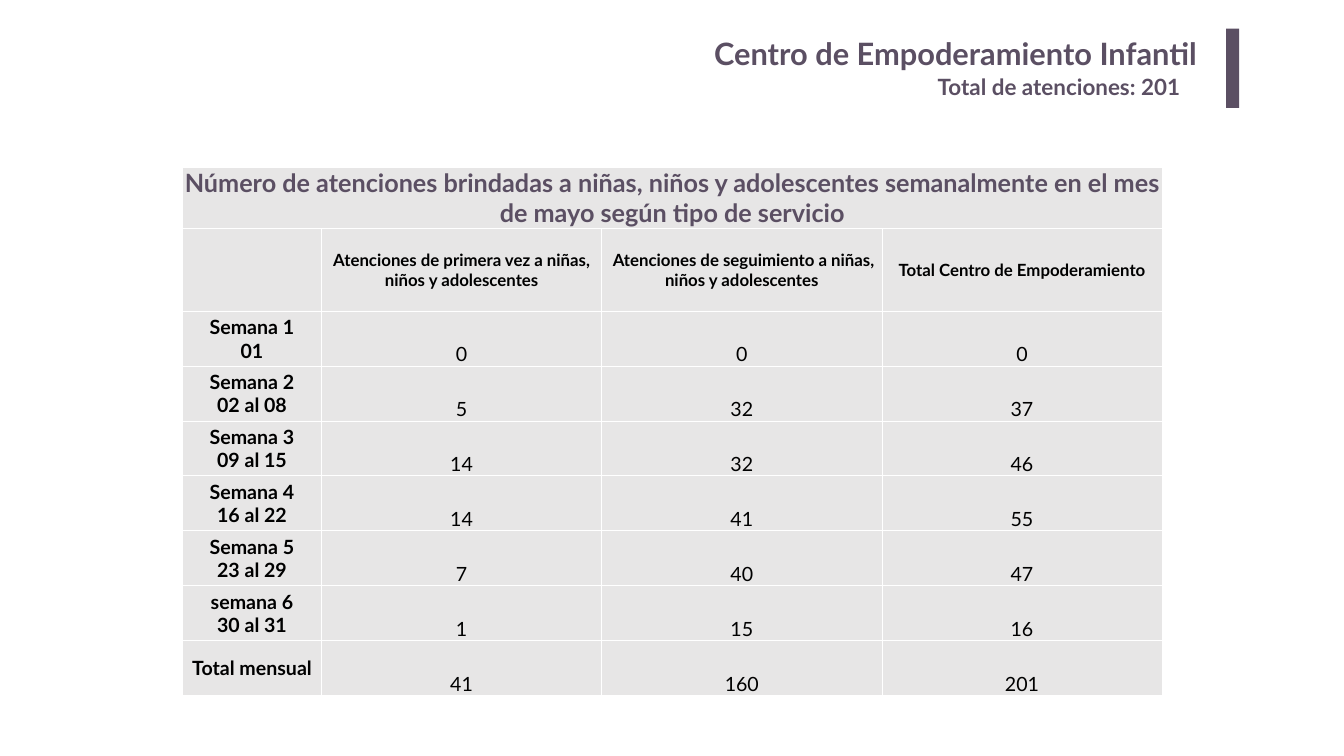
from lxml.etree import SubElement
from pptx import Presentation
from pptx.dml.color import RGBColor
from pptx.enum.shapes import MSO_SHAPE
from pptx.enum.text import MSO_ANCHOR, PP_ALIGN
from pptx.oxml.ns import qn
from pptx.util import Inches, Pt

PURPLE = RGBColor(0x5B, 0x4F, 0x63)
GRAY = RGBColor(0xE7, 0xE6, 0xE6)
BLACK = RGBColor(0, 0, 0)
WHITE = RGBColor(0xFF, 0xFF, 0xFF)
FONT = "Lato"

TITLE = "Centro de Empoderamiento Infantil"
SUBTITLE = "Total de atenciones: 201"
TABLE_TITLE = (
    "Número de atenciones brindadas a niñas, niños y adolescentes "
    "semanalmente en el mes de mayo según tipo de servicio"
)
HEADERS = [
    "",
    "Atenciones de primera vez a niñas, niños y adolescentes",
    " Atenciones de seguimiento a niñas, niños y adolescentes",
    "Total Centro de Empoderamiento",
]
WEEKS = [
    ("Semana 1\v01", 0, 0, 0),
    ("Semana 2\v02 al 08", 5, 32, 37),
    ("Semana 3\v09 al 15", 14, 32, 46),
    ("Semana 4\v16 al 22", 14, 41, 55),
    ("Semana 5\v23 al 29", 7, 40, 47),
    ("semana 6\v30 al 31", 1, 15, 16),
    ("Total mensual", 41, 160, 201),
]
COLUMN_WIDTHS = [2.76, 5.56, 5.56, 5.56]
ROW_HEIGHTS = [1.09, 1.64] + [1.09] * len(WEEKS)


def format_text(text_frame, size, color, bold, alignment):
    for paragraph in text_frame.paragraphs:
        paragraph.alignment = alignment
        for run in paragraph.runs:
            run.font.name = FONT
            run.font.size = Pt(size)
            run.font.bold = bold
            run.font.color.rgb = color


def add_heading(slide, text, position, size, alignment, inset):
    box = slide.shapes.add_textbox(*map(Inches, position))
    text_frame = box.text_frame
    text_frame.word_wrap = True
    text_frame.margin_left = text_frame.margin_right = Inches(inset)
    text_frame.margin_top = text_frame.margin_bottom = Inches(inset / 2)
    text_frame.text = text
    format_text(text_frame, size, PURPLE, True, alignment)


def add_borders(cell):
    properties = cell._tc.get_or_add_tcPr()
    for side in ("lnL", "lnR", "lnT", "lnB"):
        line = SubElement(properties, qn(f"a:{side}"), w=str(Pt(1)))
        fill = SubElement(line, qn("a:solidFill"))
        SubElement(fill, qn("a:srgbClr"), val=str(WHITE))


def fill_cell(cell, text, size, color, bold, anchor):
    add_borders(cell)
    cell.fill.solid()
    cell.fill.fore_color.rgb = GRAY
    cell.margin_left = cell.margin_right = cell.margin_top = Inches(0.01)
    cell.margin_bottom = 0
    cell.vertical_anchor = anchor
    cell.text_frame.text = str(text)
    format_text(cell.text_frame, size, color, bold, PP_ALIGN.CENTER)


def add_service_table(slide):
    rows = [[TABLE_TITLE, "", "", ""], HEADERS, *WEEKS]
    table = slide.shapes.add_table(
        len(rows), len(COLUMN_WIDTHS), Inches(3.62), Inches(3.32),
        Inches(sum(COLUMN_WIDTHS)), Inches(sum(ROW_HEIGHTS)),
    ).table
    for column, width in zip(table.columns, COLUMN_WIDTHS):
        column.width = Inches(width)
    for row, height in zip(table.rows, ROW_HEIGHTS):
        row.height = Inches(height)
    table.cell(0, 0).merge(table.cell(0, len(COLUMN_WIDTHS) - 1))
    for row_index, row in enumerate(rows):
        size = {0: 36, 1: 24}.get(row_index, 28)
        color = PURPLE if row_index == 0 else BLACK
        for column_index, text in enumerate(row):
            is_label = row_index < 2 or column_index == 0
            anchor = MSO_ANCHOR.MIDDLE if is_label else MSO_ANCHOR.BOTTOM
            cell = table.cell(row_index, column_index)
            fill_cell(cell, text, size, color, is_label, anchor)


def main():
    presentation = Presentation()
    presentation.slide_width = Inches(26.67)
    presentation.slide_height = Inches(15)
    slide = presentation.slides.add_slide(presentation.slide_layouts[6])

    add_heading(slide, TITLE, (3.66, 0.58, 20.3, 1.02), 44, PP_ALIGN.RIGHT, 0.2)
    bar = slide.shapes.add_shape(
        MSO_SHAPE.RECTANGLE, *map(Inches, (24.33, 0.57, 0.26, 1.57))
    )
    bar.shadow.inherit = False
    bar.fill.solid()
    bar.fill.fore_color.rgb = PURPLE
    bar.line.fill.background()
    add_heading(slide, SUBTITLE, (18.51, 1.41, 5.51, 0.64), 32, PP_ALIGN.LEFT, 0.1)
    add_service_table(slide)

    presentation.save("out.pptx")


if __name__ == "__main__":
    main()
